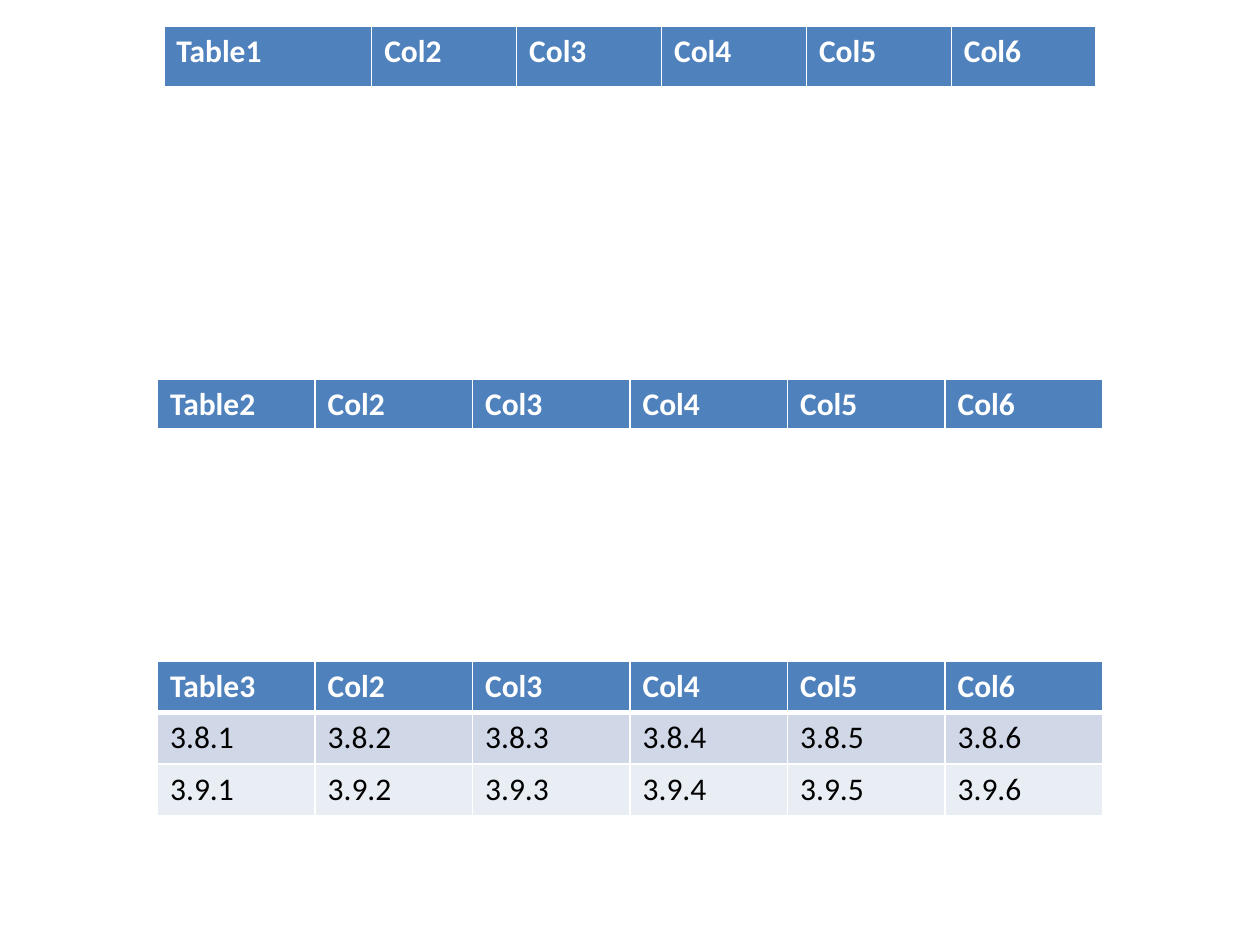
from dataclasses import dataclass

from lxml.etree import SubElement
from pptx import Presentation
from pptx.dml.color import RGBColor
from pptx.oxml.ns import qn
from pptx.slide import Slide
from pptx.table import _Cell as Cell
from pptx.util import Inches, Pt


@dataclass(frozen=True)
class Theme:
    font: str = "Calibri"
    text_size: int = 18
    header_fill: str = "4F81BD"
    header_text: str = "FFFFFF"
    body_text: str = "000000"
    band_fills: tuple[str, ...] = ("D0D8E8", "E9EDF4")
    border: str = "FFFFFF"
    thin_line: float = 1
    header_line: float = 3


@dataclass(frozen=True)
class TableSpec:
    title: str
    left: float
    top: float
    frame_height: float
    column_widths: tuple[float, ...]
    header_height: float
    body_sections: tuple[str, ...] = ()


THEME = Theme()
BODY_HEIGHT = 0.41
EVEN_COLUMNS = (1.25,) * 6
TABLES = (
    TableSpec("Table1", 1.3, 0.21, 2.6, (1.65,) + (1.15,) * 5, 0.49),
    TableSpec("Table2", 1.25, 3.01, 2.02, EVEN_COLUMNS, 0.25),
    TableSpec("Table3", 1.25, 5.25, 2.02, EVEN_COLUMNS, 0.25, ("3.8", "3.9")),
)


def set_borders(cell: Cell, top: float, bottom: float) -> None:
    """Draw all four sides; call before filling, as lines precede the fill."""
    properties = cell._tc.get_or_add_tcPr()
    widths = {"L": THEME.thin_line, "R": THEME.thin_line, "T": top, "B": bottom}
    for side, width in widths.items():
        line = SubElement(properties, qn(f"a:ln{side}"), w=str(Pt(width)))
        fill = SubElement(line, qn("a:solidFill"))
        SubElement(fill, qn("a:srgbClr"), val=THEME.border)


def style_cell(cell: Cell, text: str, row: int) -> None:
    is_header = row == 0
    set_borders(
        cell,
        top=THEME.header_line if row == 1 else THEME.thin_line,
        bottom=THEME.header_line if is_header else THEME.thin_line,
    )
    band = THEME.band_fills[(row - 1) % len(THEME.band_fills)]
    cell.fill.solid()
    cell.fill.fore_color.rgb = RGBColor.from_string(THEME.header_fill if is_header else band)

    cell.text = text
    font = cell.text_frame.paragraphs[0].font
    font.name = THEME.font
    font.size = Pt(THEME.text_size)
    font.bold = is_header
    font.color.rgb = RGBColor.from_string(THEME.header_text if is_header else THEME.body_text)


def draw_table(slide: Slide, spec: TableSpec) -> None:
    numbers = range(1, len(spec.column_widths) + 1)
    rows = [[spec.title] + [f"Col{number}" for number in numbers[1:]]]
    rows += [[f"{section}.{number}" for number in numbers] for section in spec.body_sections]

    frame = slide.shapes.add_table(
        len(rows), len(numbers), Inches(spec.left), Inches(spec.top),
        Inches(sum(spec.column_widths)), Inches(spec.frame_height),
    )
    table = frame.table
    for column, width in zip(table.columns, spec.column_widths):
        column.width = Inches(width)
    for row, texts in enumerate(rows):
        table.rows[row].height = Inches(BODY_HEIGHT if row else spec.header_height)
        for column, text in enumerate(texts):
            style_cell(table.cell(row, column), text, row)
    # Changing row heights resizes the frame, so restore its height.
    frame.height = Inches(spec.frame_height)


def main() -> None:
    presentation = Presentation()
    presentation.slide_width = Inches(10)
    presentation.slide_height = Inches(7.5)
    slide = presentation.slides.add_slide(presentation.slide_layouts[6])
    for spec in TABLES:
        draw_table(slide, spec)
    presentation.save("out.pptx")


if __name__ == "__main__":
    main()
